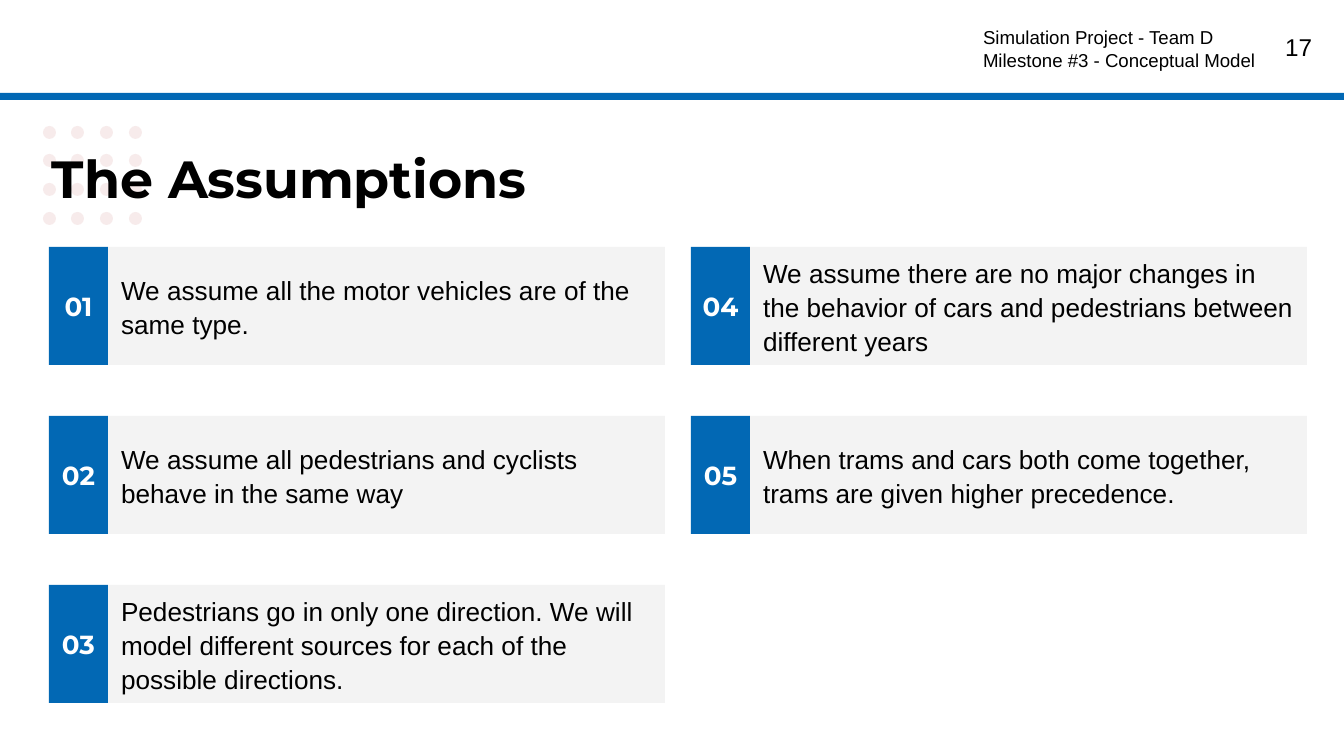
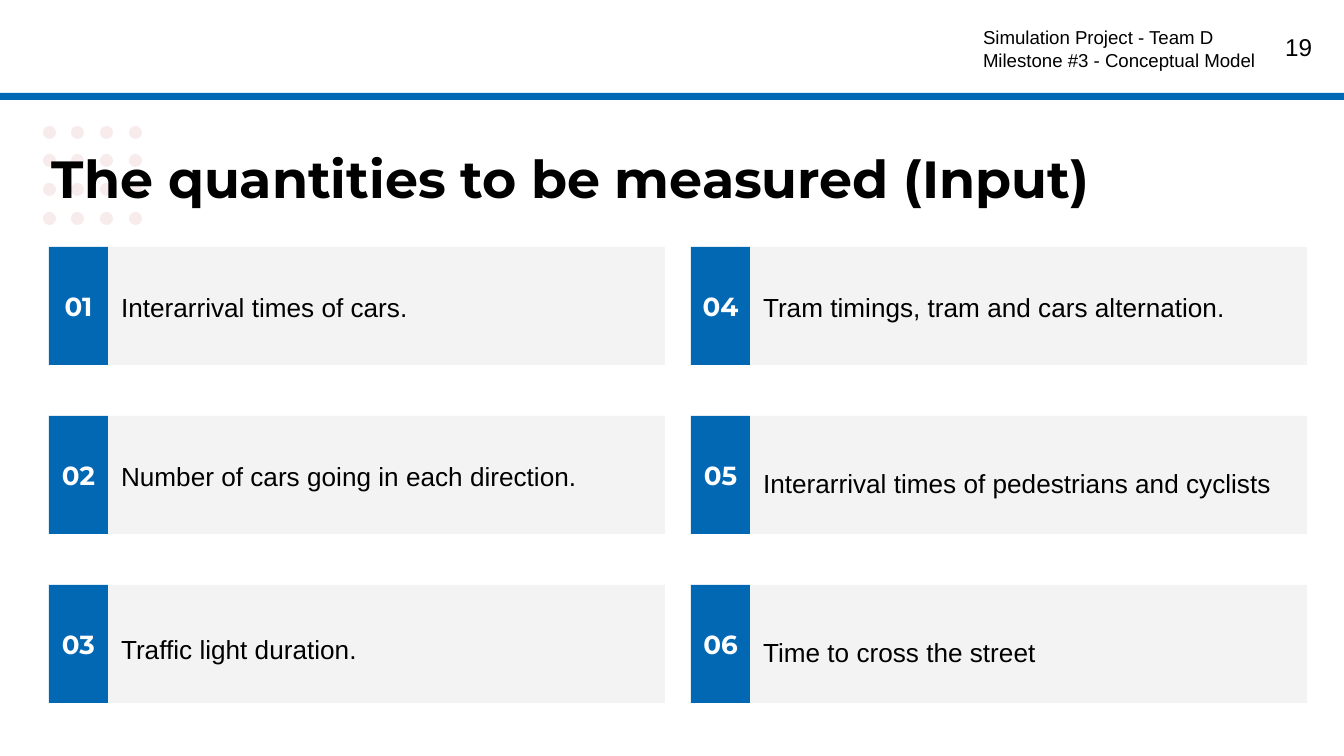
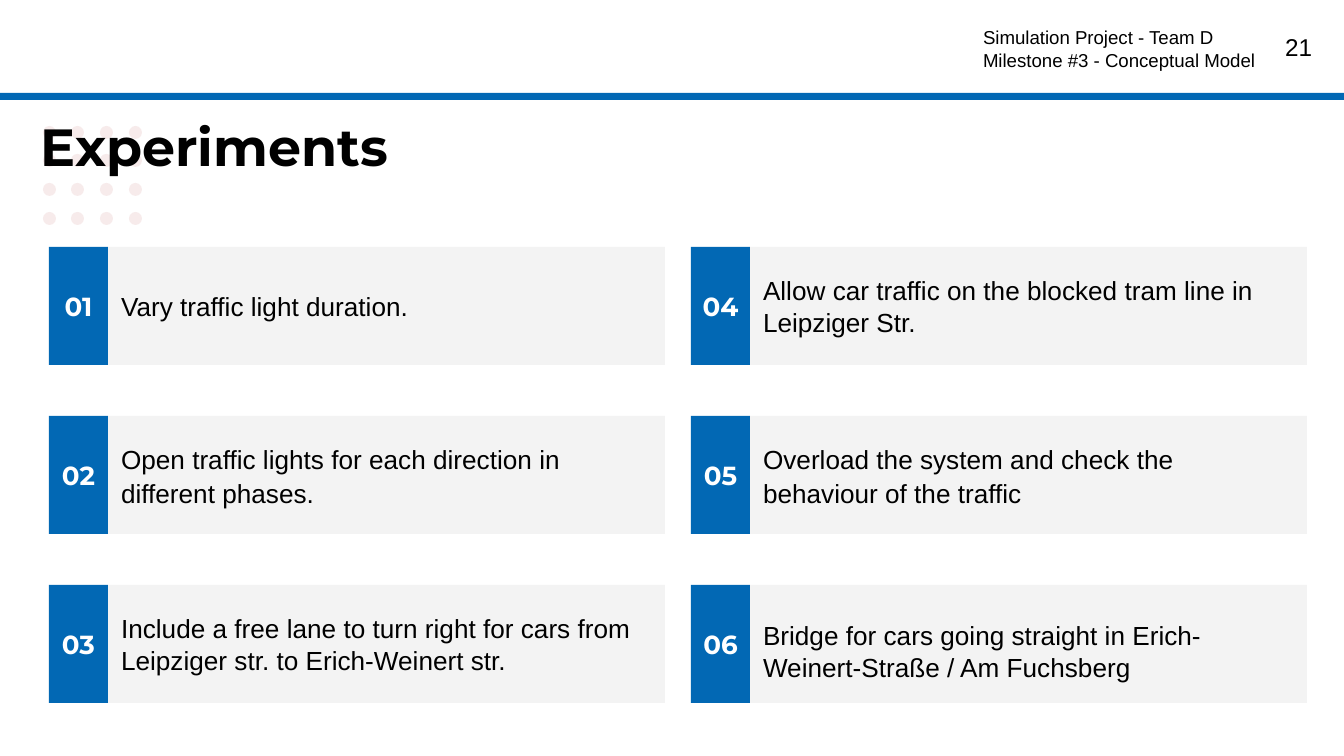
"""Build three numbered-tile slides of a simulation project."""
from pptx import Presentation
from pptx.dml.color import RGBColor
from pptx.enum.shapes import MSO_SHAPE
from pptx.enum.text import MSO_ANCHOR, PP_ALIGN
from pptx.util import Pt

SCALE = 914400 / 134.4
INSET = 13
HUES = {"blue": "0268B4", "grey": "F3F3F3", "dot": "F7EBEB",
        "white": "FFFFFF", "black": "000000"}
FONTS = {
    "title": {"name": "Montserrat", "size": Pt(28), "bold": True},
    "label": {"name": "Montserrat", "size": Pt(14), "bold": True},
    "body": {"name": "Arial", "size": Pt(14)},
    "head": {"name": "Arial", "size": Pt(10)},
    "page": {"name": "Arial", "size": Pt(13)},
}
HEAD = ["Simulation Project - Team D", "Milestone #3 - Conceptual Model"]
LEFT, TOP, TAB, WIDE, HIGH = 49, 247, 59, 557, 118
COL, ROW, ROWS = 642, 169, 3

DECK = [
    {"page": "17", "title": "The Assumptions", "at": (39, 133, 652, 95), "tiles": [
        ("We assume all the motor vehicles are of the same type.", 1.08, 0),
        ("We assume all pedestrians and cyclists behave in the same way", 1.08, 0),
        ("Pedestrians go in only one direction. We will model different "
         "sources for each of the possible directions.", 1.08, 0),
        ("We assume there are no major changes in the behavior of cars and "
         "pedestrians between different years", 1.08, 0),
        ("When trams and cars both come together, trams are given higher "
         "precedence.", 1.08, 0),
    ]},
    {"page": "19", "title": "The quantities to be measured (Input)",
     "at": (39, 133, 1106, 95), "tiles": [
        ("Interarrival times of cars.", 1.08, 0),
        ("Number of cars going in each direction.", 1.08, 0),
        ("Traffic light duration.", 1.08, 8),
        ("Tram timings, tram and cars alternation.", 1.08, 0),
        ("Interarrival times of pedestrians and cyclists", 1.08, 14),
        ("Time to cross the street", 1.08, 14),
     ]},
    {"page": "21", "title": "Experiments", "at": (28, 101, 1288, 95), "tiles": [
        ("Vary traffic light duration.", 1, 0),
        ("Open traffic lights for each direction in different phases.", 1.08, 0),
        ("Include a free lane to turn right for cars from Leipziger str. "
         "to Erich-Weinert str.", 1, 0),
        ("Allow car traffic on the blocked tram line in Leipziger Str.", 1, 0),
        ("Overload the system and check the behaviour of the traffic", 1.08, 0),
        ("Bridge for cars going straight in Erich-Weinert-Straße / "
         "Am Fuchsberg", 1, 14),
    ]},
]


def draw(slide, box, hue, kind=MSO_SHAPE.RECTANGLE):
    shape = slide.shapes.add_shape(kind, *[round(n * SCALE) for n in box])
    shape.shadow.inherit = False
    shape.fill.solid()
    shape.fill.fore_color.rgb = RGBColor.from_string(HUES[hue])
    shape.line.fill.background()
    return shape


def write(shape, lines, style, hue="black", align=PP_ALIGN.LEFT,
          anchor=MSO_ANCHOR.TOP, side=INSET, drop=0, space=1):
    frame = shape.text_frame
    form = {"word_wrap": True, "vertical_anchor": anchor,
            "margin_left": round(side * SCALE), "margin_right": round(side * SCALE),
            "margin_top": round((INSET + drop) * SCALE),
            "margin_bottom": round(INSET * SCALE)}
    for key, value in form.items():
        setattr(frame, key, value)
    for i, line in enumerate(lines):
        para = frame.add_paragraph() if i else frame.paragraphs[0]
        para.alignment = align
        para.line_spacing = float(space)
        run = para.add_run()
        run.text = line
        for key, value in FONTS[style].items():
            setattr(run.font, key, value)
        run.font.color.rgb = RGBColor.from_string(HUES[hue])


deck = Presentation()
deck.slide_width = round(1344 * SCALE)
deck.slide_height = round(756 * SCALE)

for plan in DECK:
    slide = deck.slides.add_slide(deck.slide_layouts[6])
    for i in range(16):
        row, col = divmod(i, 4)
        draw(slide, (43 + col * 86 // 3, 126 + row * 86 // 3, 13, 13),
             "dot", MSO_SHAPE.OVAL)
    draw(slide, (0, 0, 1344, 93), "white")
    draw(slide, (0, 93, 1344, 7), "blue")

    for box, lines, style, align in [
        (plan["at"], [plan["title"]], "title", PP_ALIGN.LEFT),
        ((1245, 19, 80, 58), [plan["page"]], "page", PP_ALIGN.RIGHT),
        ((970, 13, 313, 75), HEAD, "head", PP_ALIGN.LEFT),
    ]:
        text = slide.shapes.add_textbox(*[round(n * SCALE) for n in box])
        write(text, lines, style, align=align)

    for i, (words, space, drop) in enumerate(plan["tiles"]):
        col, row = divmod(i, ROWS)
        x, y = LEFT + col * COL, TOP + row * ROW
        tile = draw(slide, (x + TAB, y, WIDE, HIGH), "grey")
        write(tile, [words], "body", anchor=MSO_ANCHOR.MIDDLE,
              drop=drop, space=space)
        tab = draw(slide, (x, y, TAB, HIGH), "blue")
        write(tab, [f"{i + 1:02}"], "label", "white", PP_ALIGN.CENTER,
              MSO_ANCHOR.MIDDLE, side=0)

deck.save("out.pptx")
